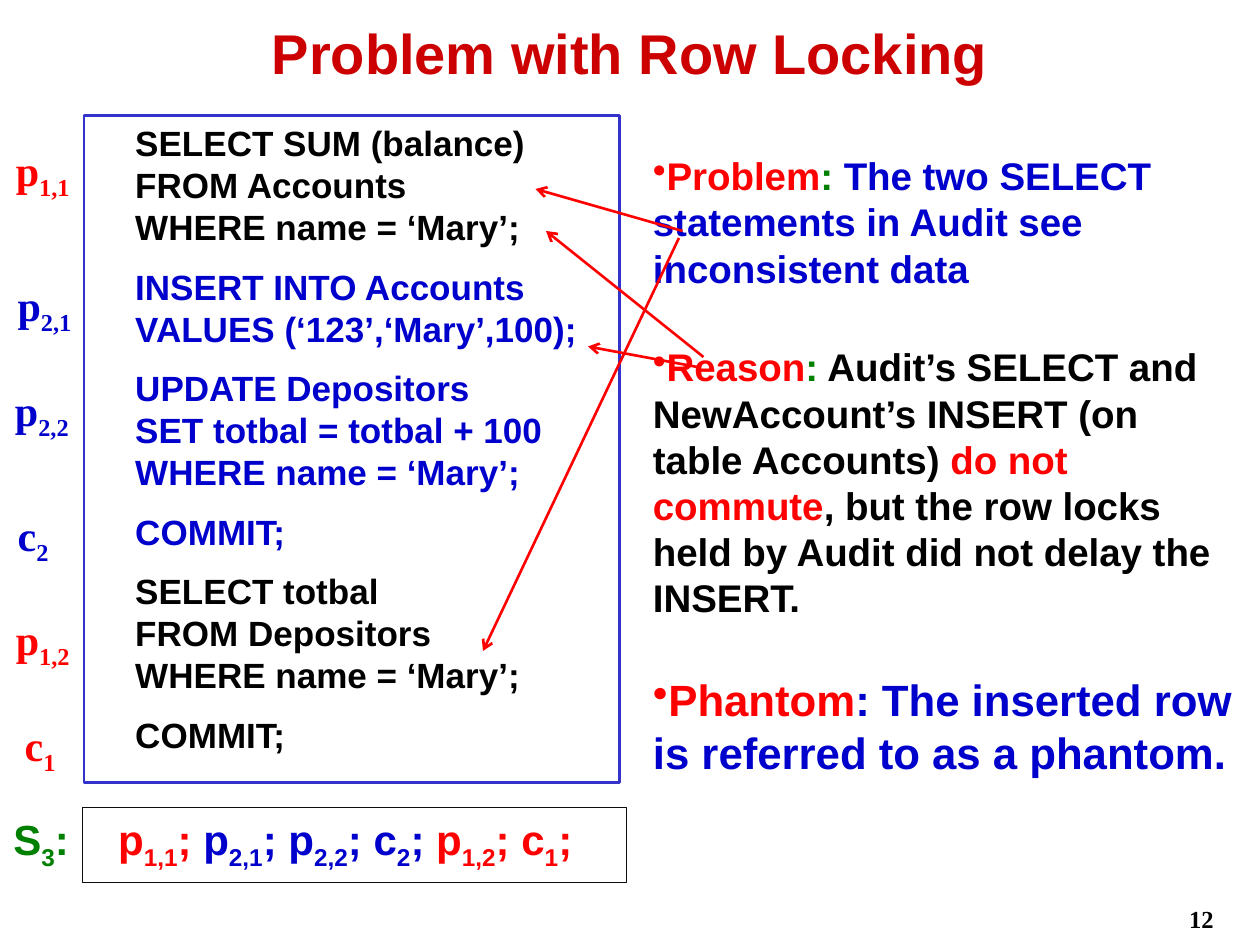
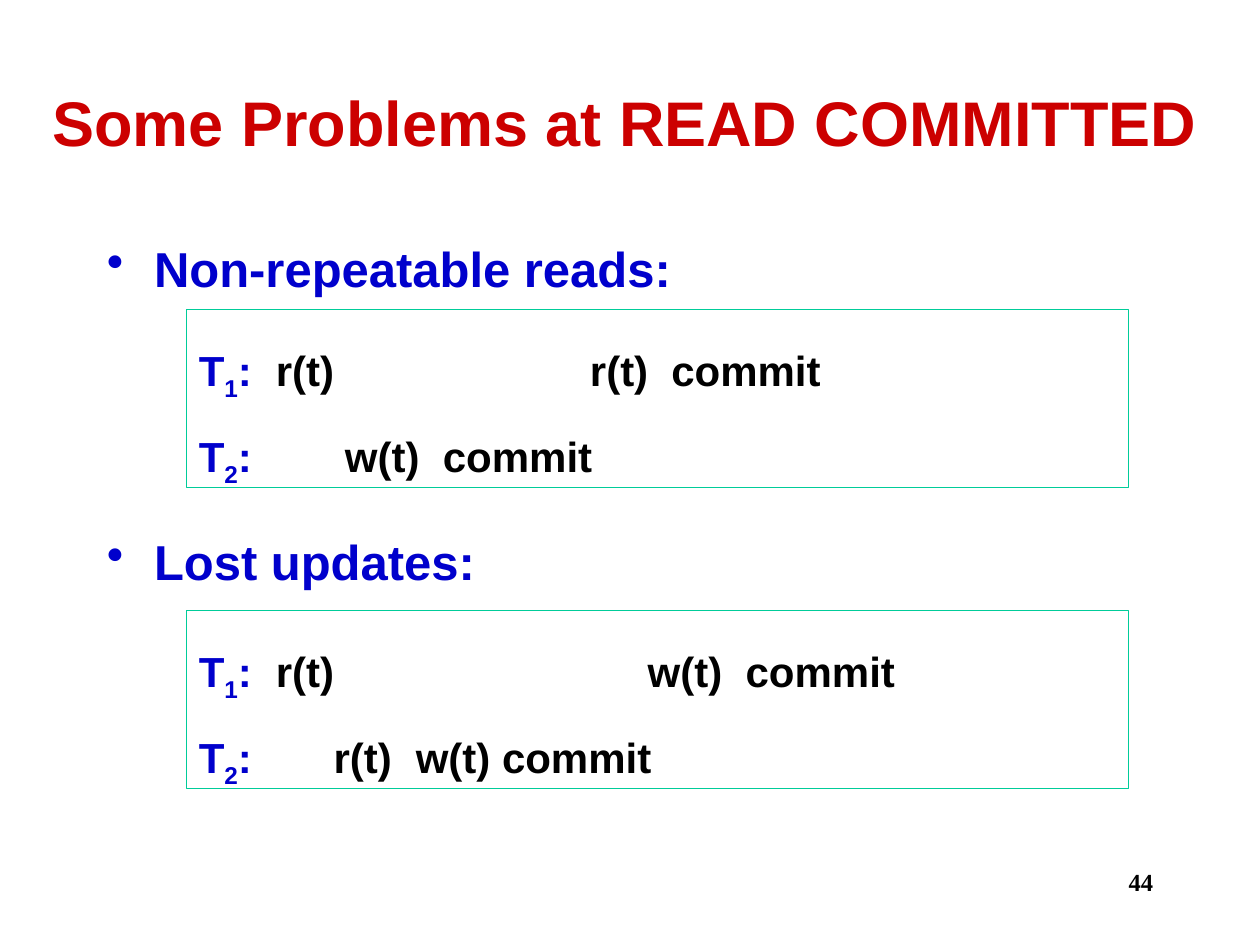
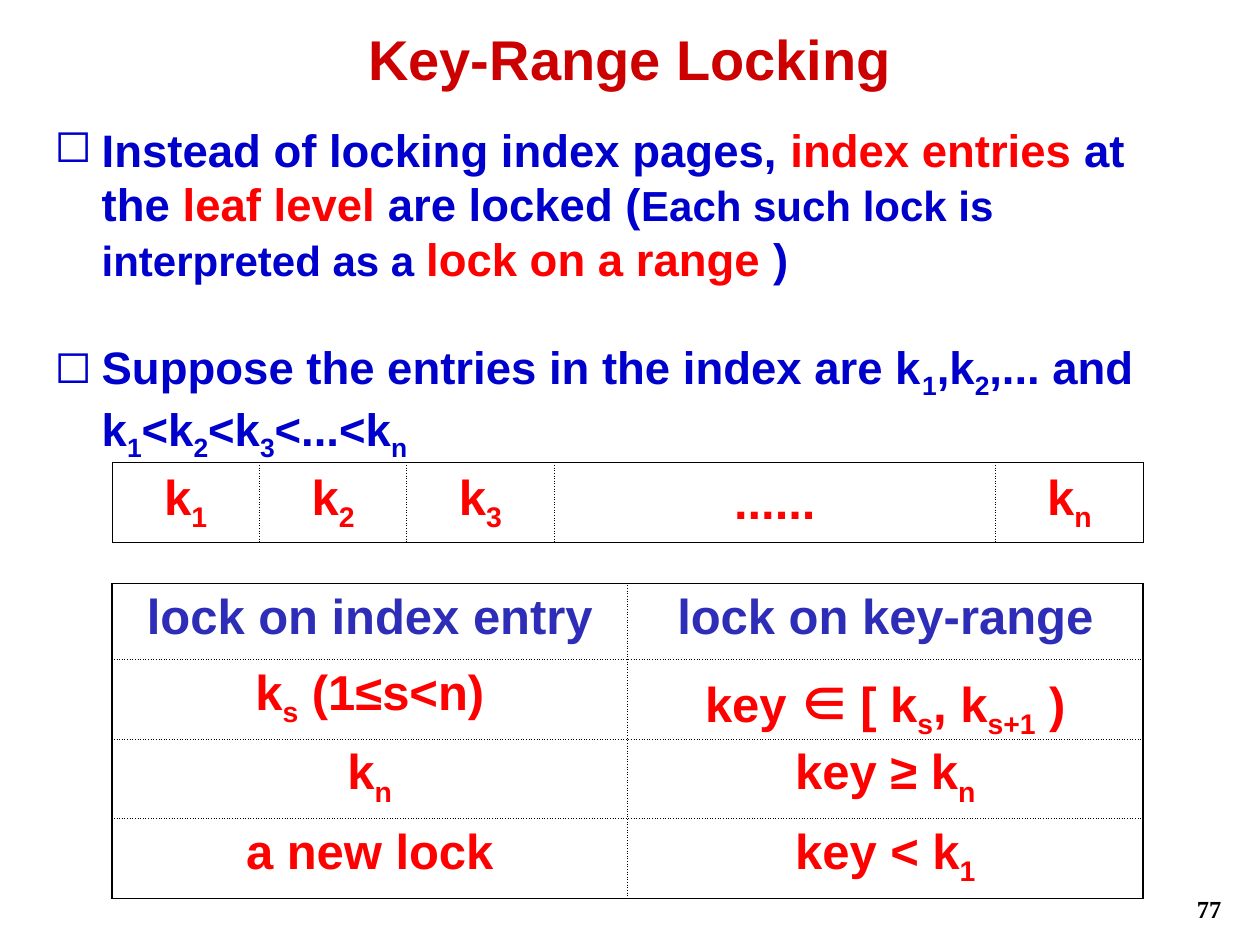
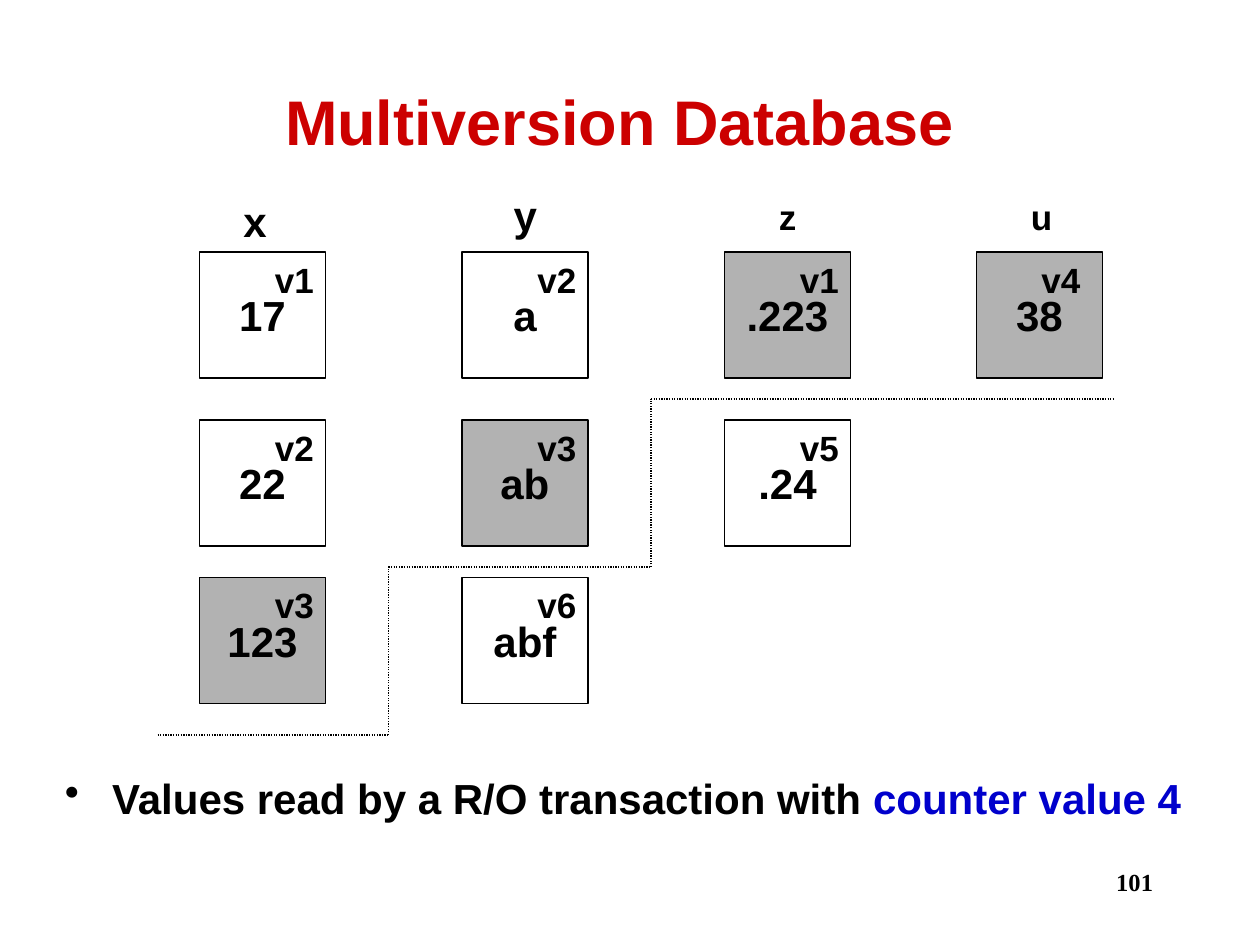
"""Build four lecture slides on locking, isolation levels and multiversion databases."""
from itertools import pairwise

from lxml import etree
from pptx import Presentation
from pptx.dml.color import RGBColor
from pptx.enum.dml import MSO_LINE
from pptx.enum.shapes import MSO_CONNECTOR, MSO_SHAPE
from pptx.enum.text import MSO_ANCHOR, PP_ALIGN
from pptx.oxml.ns import qn
from pptx.util import Pt

LEFT, CENTER, RIGHT = PP_ALIGN.LEFT, PP_ALIGN.CENTER, PP_ALIGN.RIGHT
TOP, MIDDLE = MSO_ANCHOR.TOP, MSO_ANCHOR.MIDDLE
RECTANGLE, STRAIGHT = MSO_SHAPE.RECTANGLE, MSO_CONNECTOR.STRAIGHT
DOTTED = MSO_LINE.ROUND_DOT

BLACK = RGBColor(0x00, 0x00, 0x00)
WHITE = RGBColor(0xFF, 0xFF, 0xFF)
TITLE_RED = RGBColor(0xCC, 0x00, 0x00)
RED = RGBColor(0xFF, 0x00, 0x00)
BLUE = RGBColor(0x00, 0x00, 0xCC)
GREEN = RGBColor(0x00, 0x80, 0x00)
FRAME_BLUE = RGBColor(0x33, 0x33, 0xCC)
HEADING_BLUE = RGBColor(0x2D, 0x2D, 0xB7)
TEAL = RGBColor(0x00, 0xCC, 0x99)
NEAR_BLACK = RGBColor(0x0D, 0x0D, 0x0D)
GRAY = RGBColor(0xB2, 0xB2, 0xB2)
SANS, SERIF, SYMBOLS = "Arial", "Times New Roman", "Noto Sans CJK SC"


def add_box(slide, place, outline=None, fill=None, width=0.75):
    """Add a rectangle, or a plain text box when there is no outline."""
    left, top, box_width, height = map(Pt, place)
    if outline is None:
        return slide.shapes.add_textbox(left, top, box_width, height)
    shape = slide.shapes.add_shape(RECTANGLE, left, top, box_width, height)
    shape.shadow.inherit = False
    shape.line.color.rgb = outline
    shape.line.width = Pt(width)
    if fill is None:
        shape.fill.background()
    else:
        shape.fill.solid()
        shape.fill.fore_color.rgb = fill
    return shape


def write(frame, paragraphs, size, font=SANS, align=LEFT, bullet="", indent=0):
    """Fill a text frame with paragraphs of (text, colour); underscores enclose subscripts."""
    for index, parts in enumerate(paragraphs):
        paragraph = frame.add_paragraph() if index else frame.paragraphs[0]
        paragraph.alignment = align
        if bullet:
            properties = paragraph._p.get_or_add_pPr()
            properties.set("marL", str(Pt(indent)))
            properties.set("indent", str(-Pt(indent)))
            etree.SubElement(properties, qn("a:buChar"), char=bullet)
        paragraph.font.name = font
        paragraph.font.size = Pt(size)
        paragraph.font.bold = True
        for text, color in parts:
            for position, piece in enumerate(text.split("_")):
                if piece:
                    run = paragraph.add_run()
                    run.text = piece
                    run.font.color.rgb = color
                    if position % 2:
                        run._r.get_or_add_rPr().set("baseline", "-25000")
    return frame.paragraphs


presentation = Presentation()
presentation.slide_width, presentation.slide_height = Pt(720), Pt(540)

slides = []
for title, title_size, title_place, number, number_place in [
    ("Problem with Row Locking", 32, (54, 0, 612, 60), "12", (632, 513, 68.5, 23)),
    ("Some Problems at READ COMMITTED", 36, (18, 24.5, 678, 90), "44", (516, 492, 150, 36)),
    ("Key-Range Locking", 32, (54, 10, 612, 46), "77", (631, 507.5, 74, 22)),
    ("Multiversion Database", 36, (48, 24, 612, 90), "101", (516, 492, 150, 36)),
]:
    slide = presentation.slides.add_slide(presentation.slide_layouts[6])
    slides.append(slide)
    title_frame = add_box(slide, title_place).text_frame
    title_frame.word_wrap = True
    title_frame.vertical_anchor = MIDDLE
    write(title_frame, [[(title, TITLE_RED)]], title_size, align=CENTER)
    number_frame = add_box(slide, number_place).text_frame
    number_frame.word_wrap = True
    write(number_frame, [[(number, BLACK)]], 14, SERIF, RIGHT)
row_locking, read_committed, key_range, multiversion = slides

code_frame = add_box(row_locking, (48, 66, 306, 381), FRAME_BLUE, WHITE, 1.5).text_frame
code_frame.vertical_anchor = TOP
statements = [
    (BLACK, ["SELECT SUM (balance)", "FROM Accounts", "WHERE name = ‘Mary’;"]),
    (BLUE, ["INSERT INTO Accounts", "VALUES (‘123’,‘Mary’,100);"]),
    (BLUE, ["UPDATE Depositors", "SET totbal = totbal + 100", "WHERE name = ‘Mary’;"]),
    (BLUE, ["COMMIT;"]),
    (BLACK, ["SELECT totbal", "FROM Depositors", "WHERE name = ‘Mary’;"]),
    (BLACK, ["COMMIT;"]),
]
code = [[("    " + line, color)] for color, lines in statements for line in lines]
code_paragraphs = write(code_frame, code, 20)
first_line = 0
for color, lines in statements[:-1]:
    first_line += len(lines)
    code_paragraphs[first_line].space_before = Pt(10)

for label, color, left, top in [
    ("p_1,1_", RED, 2, 79),
    ("p_2,1_", BLUE, 3, 156),
    ("p_2,2_", BLUE, 1.5, 216),
    ("c_2_", BLUE, 3, 287.5),
    ("p_1,2_", RED, 2, 347),
    ("c_1_", RED, 7, 407.5),
]:
    label_frame = add_box(row_locking, (left, top, 58, 36)).text_frame
    label_frame.word_wrap = True
    write(label_frame, [[(label, color)]], 24, SERIF)

notes_frame = add_box(row_locking, (366, 83.5, 348, 390)).text_frame
notes_frame.word_wrap = True
notes = write(notes_frame, [
    [("Problem", RED), (": ", GREEN),
     ("The two SELECT statements in Audit see inconsistent data", BLUE)],
    [("Reason", RED), (":", GREEN),
     (" Audit’s SELECT and NewAccount’s INSERT (on table Accounts) ", BLACK),
     ("do not commute", RED),
     (", but the row locks held by Audit did not delay the INSERT.", BLACK)],
    [("Phantom", RED), (": The inserted row is referred to as a phantom.", BLUE)],
], 22, bullet="•")
for paragraph in notes[1:]:
    paragraph.space_before = Pt(30)
notes[2].font.size = Pt(25)

schedule_label = add_box(row_locking, (0.5, 461.5, 48, 36)).text_frame
schedule_label.word_wrap = True
write(schedule_label, [[("S_3_:", GREEN)]], 24)
schedule_frame = add_box(row_locking, (47, 461.5, 311, 43), NEAR_BLACK).text_frame
schedule_frame.vertical_anchor = TOP
schedule_frame.margin_left = Pt(20.5)
write(schedule_frame, [[("p_1,1_; ", RED), ("p_2,1_; p_2,2_; c_2_;", BLUE),
                        (" p_1,2_; c_1_;", RED)]], 24)

problems_frame = add_box(read_committed, (54, 132.5, 612, 324)).text_frame
problems_frame.word_wrap = True
problems = write(problems_frame, [[("Non-repeatable reads:", BLUE)], [("Lost updates:", BLUE)]],
                 28, bullet="•", indent=27)
problems[1].space_before = Pt(134)

for top, schedules in [
    (177, [("\tr(t)\tr(t)\tcommit", (44, 223.5, 270)), ("\tw(t)\tcommit", (83.5, 139.5))]),
    (349, [("\tr(t)\tw(t)\tcommit", (44, 256.5, 312.5)), ("\tr(t)\tw(t) commit", (77, 124))]),
]:
    frame = add_box(read_committed, (106.5, top, 538.5, 101.5), TEAL).text_frame
    frame.vertical_anchor = TOP
    frame.margin_bottom = Pt(11.5)
    rows = [[(f"T_{row}_:", BLUE), (steps, BLACK)]
            for row, (steps, stops) in enumerate(schedules, 1)]
    for paragraph, (steps, stops) in zip(write(frame, rows, 24), schedules):
        paragraph.line_spacing = 1.5
        tab_list = etree.Element(qn("a:tabLst"))
        for stop in stops:
            etree.SubElement(tab_list, qn("a:tab"), pos=str(Pt(stop)), algn="l")
        paragraph._p.pPr.find(qn("a:defRPr")).addprevious(tab_list)

for top, height, parts in [
    (66, 101.5, [("Instead of locking index pages, ", BLUE), ("index entries", RED),
                 (" at the ", BLUE), ("leaf level", RED), (" are locked (", BLUE),
                 ("Each such lock is interpreted as a ", BLUE),
                 ("lock on a range", RED), (" )", BLUE)]),
    (190, 70, [("Suppose the entries in the index are k_1_,k_2_,... and "
                "k_1_<k_2_<k_3_<...<k_n_", BLUE)]),
]:
    frame = add_box(key_range, (24, top, 666, height)).text_frame
    frame.word_wrap = True
    paragraph = write(frame, [parts], 26, bullet="◻", indent=27)[0]
    for run in paragraph.runs:
        if run.text.startswith("Each such"):
            run.font.size = Pt(24)

for top, row_height, widths, outer_width, anchor, rows in [
    (264.5, 41, (84.2, 84.2, 84.2, 252.4, 84.2), 0.5, MIDDLE,
     [("k_1_", "k_2_", "k_3_", "......", "k_n_")]),
    (333.5, 43.5, (294.6, 294.6), 1, TOP,
     [("lock on index entry", "lock on key-range"),
      ("k_s_ (1≤s<n)", "key ∈ [ k_s_, k_s+1_ )"),
      ("k_n_", "key ≥ k_n_"),
      ("a new lock", "key < k_1_")]),
]:
    table = key_range.shapes.add_table(len(rows), len(widths), Pt(64), Pt(top),
                                       Pt(sum(widths)), Pt(row_height * len(rows))).table
    table.first_row = table.horz_banding = False
    for column, width in zip(table.columns, widths):
        column.width = Pt(width)
    for row_index, texts in enumerate(rows):
        table.rows[row_index].height = Pt(row_height)
        for column_index, text in enumerate(texts):
            cell = table.cell(row_index, column_index)
            cell.vertical_anchor = anchor
            color = HEADING_BLUE if text.startswith("lock") else RED
            before, member, after = text.partition("∈ ")
            parts = [(before, color), (member, color), (after, color)]
            paragraph = write(cell.text_frame, [parts], 28, align=CENTER)[0]
            for run in paragraph.runs:
                if run.text == "∈ ":
                    run.font.name = SYMBOLS
                    run._r.rPr.append(etree.Element(qn("a:ea"), typeface=SYMBOLS))
                    run._r.rPr.append(etree.Element(qn("a:sym"), typeface=SYMBOLS))
            cell_properties = cell._tc.get_or_add_tcPr()
            for side, is_outer in [
                ("a:lnL", column_index == 0),
                ("a:lnR", column_index == len(widths) - 1),
                ("a:lnT", row_index == 0),
                ("a:lnB", row_index == len(rows) - 1),
            ]:
                border = etree.SubElement(cell_properties, qn(side),
                                          w=str(Pt(outer_width if is_outer else 0.5)))
                border_fill = etree.SubElement(border, qn("a:solidFill"))
                etree.SubElement(border_fill, qn("a:srgbClr"), val=str(BLACK))
                etree.SubElement(border, qn("a:prstDash"), val="solid" if is_outer else "dot")
            cell.fill.background()

row_tops = (144, 240, 330)
for name, name_size, name_left, name_top, left, version_offset, versions in [
    ("x", 24, 132, 108, 114, 36, [("v1", "17"), ("v2", "22"), ("v3", "123")]),
    ("y", 24, 286.5, 105, 264, 36, [("v2", "a"), ("v3", "ab"), ("v6", "abf")]),
    ("z", 20, 438, 108, 414, 36, [("v1", ".223"), ("v5", ".24")]),
    ("u", 20, 582, 108, 558, 30, [("v4", "38")]),
]:
    name_frame = add_box(multiversion, (name_left, name_top, 28, 34)).text_frame
    name_frame.word_wrap = False
    write(name_frame, [[(name, BLACK)]], name_size)
    visible = max(version for version, value in versions if version <= "v4")
    for top, (version, value) in zip(row_tops, versions):
        fill = GRAY if version == visible else WHITE
        value_frame = add_box(multiversion, (left, top, 72, 72), BLACK, fill).text_frame
        value_frame.word_wrap = False
        value_frame.vertical_anchor = MIDDLE
        write(value_frame, [[(value, BLACK)]], 24, align=CENTER)
        version_frame = add_box(multiversion, (left + version_offset, top, 37, 31)).text_frame
        version_frame.word_wrap = False
        write(version_frame, [[(version, BLACK)]], 20)

reading_frame = add_box(multiversion, (30, 438, 672, 48)).text_frame
reading_frame.word_wrap = True
write(reading_frame, [[("Values read by a R/O transaction with ", BLACK),
                       ("counter value 4", BLUE)]], 24, bullet="•", indent=27)

arrows = [
    ((390, 132), (306, 108)),
    ((388, 136), (276, 372)),
    ((402, 204), (312, 132)),
    ((400, 210), (336, 198)),
]
staircase = [(90, 420), (222, 420), (222, 324), (372, 324), (372, 228), (636, 228)]
for slide, segments in [(row_locking, arrows), (multiversion, pairwise(staircase))]:
    for start, end in segments:
        connector = slide.shapes.add_connector(STRAIGHT, *map(Pt, start + end))
        etree.SubElement(connector._element.spPr, qn("a:effectLst"))
        if slide is row_locking:
            connector.line.color.rgb = RED
            connector.line.width = Pt(1.5)
            etree.SubElement(connector.line._get_or_add_ln(), qn("a:tailEnd"), type="arrow")
        else:
            connector.line.color.rgb = BLACK
            connector.line.width = Pt(0.75)
            connector.line.dash_style = DOTTED

presentation.save("out.pptx")
